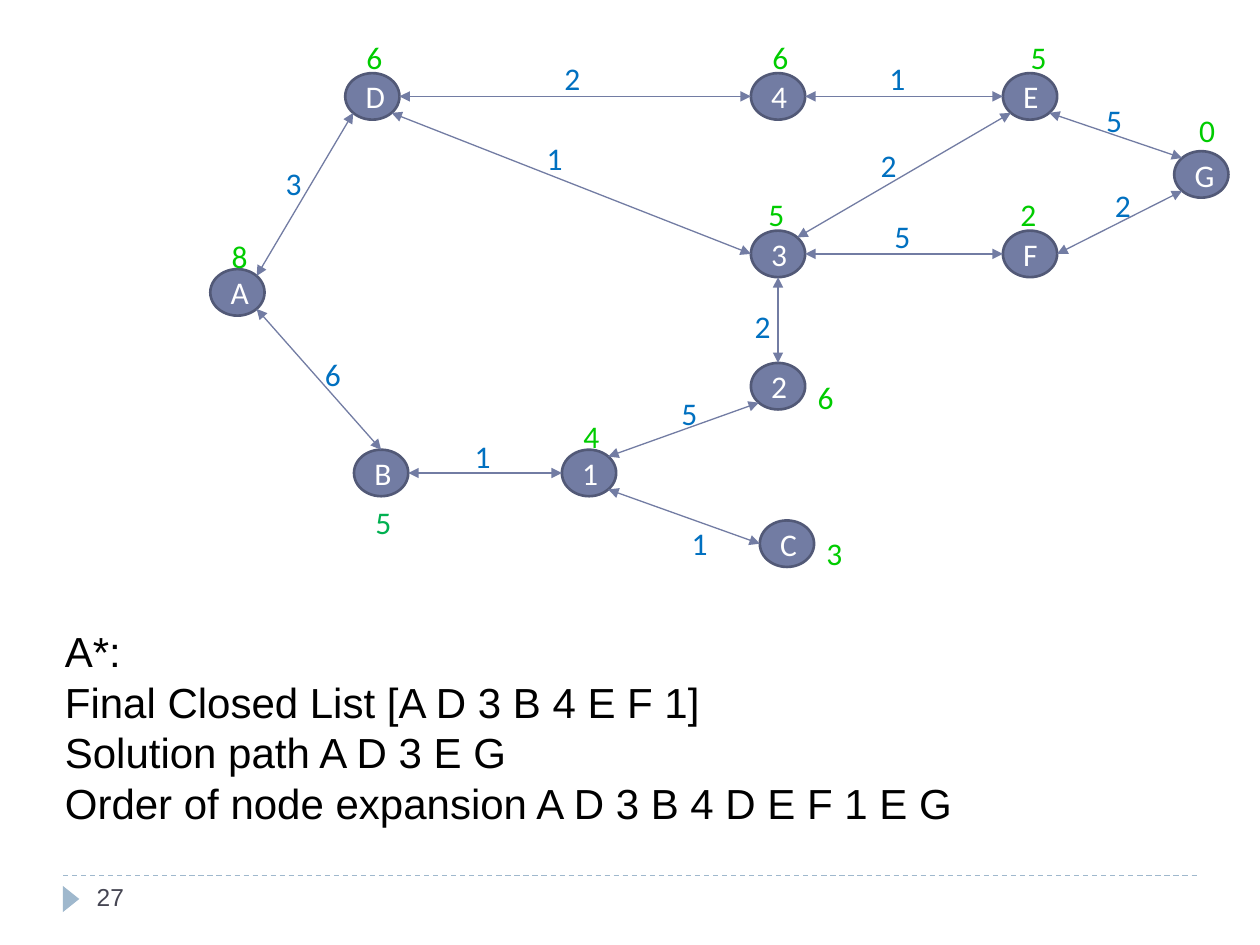
import pptx
import pptx.util
import pptx.dml.color
import pptx.enum.dml
import pptx.enum.shapes
import pptx.enum.text
from lxml import etree
from pptx.oxml.ns import qn

Pt = pptx.util.Pt
SHAPES = pptx.enum.shapes.MSO_SHAPE
NODE_W, NODE_H = 31, 26.6
LABEL_W, LABEL_H = 26, 29
GREEN, BLUE = "00CC00", "0070C0"

# name: node left, top, heuristic, its left, top, colour
NODES = {
    "G": (671, 86.4, "0", 678.2, 59.8, GREEN),
    "A": (120.2, 153.8, "8", 125.3, 131.8, GREEN),
    "D": (197.3, 41.8, "6", 202.3, 18, GREEN),
    "B": (202.3, 257, "5", 207.4, 283.7, "00B050"),
    "4": (429.1, 41.8, "6", 434.2, 18, GREEN),
    "F": (573.1, 131.8, "2", 576, 108, GREEN),
    "1": (321.1, 257, "4", 326.2, 234.7, GREEN),
    "C": (434.2, 297.4, "3", 465.1, 301.7, GREEN),
    "3": (429.1, 131.8, "5", 432, 108, GREEN),
    "2": (429.1, 207.4, "6", 460.1, 212.4, GREEN),
    "E": (573.1, 41.8, "5", 581.8, 18, GREEN),
}

# from node, side, to node, side, cost, its left, top
EDGES = [
    ("A", "ne", "D", "sw", "3", 156.2, 90),
    ("A", "se", "B", "n", "6", 178.6, 199.4),
    ("1", "w", "B", "e", "1", 264.2, 246.2),
    ("C", "w", "1", "se", "1", 388.1, 295.9),
    ("2", "sw", "1", "ne", "5", 382.3, 221.8),
    ("3", "s", "2", "n", "2", 424.1, 172.1),
    ("4", "w", "D", "e", "2", 315.4, 30.2),
    ("3", "w", "D", "se", "1", 305.3, 75.6),
    ("E", "sw", "3", "ne", "2", 496.1, 79.9),
    ("E", "w", "4", "e", "1", 501.1, 30.2),
    ("G", "nw", "E", "se", "5", 625, 54),
    ("G", "sw", "F", "e", "2", 630, 103),
    ("F", "w", "3", "e", "5", 504, 120.2),
]

RESULT = [
    "A*:",
    "Final Closed List [A D 3 B 4 E F 1]",
    "Solution path A D 3 E G",
    "Order of node expansion A D 3 B 4 D E F 1 E G",
]


def rgb(value):
    return pptx.dml.color.RGBColor.from_string(value)


def rim_point(name, side):
    """Point on a node's ellipse in a compass direction."""
    x, y = NODES[name][:2]
    reach = 0.5 if len(side) == 1 else 0.5 * 0.5 ** 0.5
    dx = ("e" in side) - ("w" in side)
    dy = ("s" in side) - ("n" in side)
    return x + NODE_W * (0.5 + reach * dx), y + NODE_H * (0.5 + reach * dy)


class Slide:
    """Current slide and the style of its elements."""
    fill, outline, accent = "727CA3", "525977", "9FB8CD"

    def __init__(self, prs):
        self.s = prs.slides.add_slide(prs.slide_layouts[6])

    def set_text(self, tf, lines, size, color, font, align=None):
        tf.word_wrap = True
        for i, line in enumerate(lines):
            p = tf.paragraphs[0] if i == 0 else tf.add_paragraph()
            p.text = line
            p.alignment = align
            p.font.size = Pt(size)
            p.font.name = font
            p.font.color.rgb = rgb(color)

    def text(self, lines, x, y, w, h, size, color, font="Arial"):
        sp = self.s.shapes.add_textbox(Pt(x), Pt(y), Pt(w), Pt(h))
        self.set_text(sp.text_frame, lines, size, color, font)

    def label(self, value, x, y, color):
        self.text([value], x, y, LABEL_W, LABEL_H, 18, color, "Calibri")

    def shape(self, kind, x, y, w, h, fill):
        sp = self.s.shapes.add_shape(kind, Pt(x), Pt(y), Pt(w), Pt(h))
        sp.shadow.inherit = False
        sp.fill.solid()
        sp.fill.fore_color.rgb = rgb(fill)
        sp.line.fill.background()
        return sp

    def node(self, name, x, y):
        sp = self.shape(SHAPES.OVAL, x, y, NODE_W, NODE_H, self.fill)
        sp.line.color.rgb = rgb(self.outline)
        sp.line.width = Pt(1.5)
        tf = sp.text_frame
        tf.vertical_anchor = pptx.enum.text.MSO_ANCHOR.MIDDLE
        self.set_text(tf, [name], 18, "FFFFFF", "Calibri",
                      pptx.enum.text.PP_ALIGN.CENTER)

    def line(self, start, end, color):
        c = self.s.shapes.add_connector(
            pptx.enum.shapes.MSO_CONNECTOR.STRAIGHT,
            *(Pt(v) for v in (*start, *end)))
        c.line.color.rgb = rgb(color)
        c.line.width = Pt(0.75)
        etree.SubElement(c._element.spPr, qn("a:effectLst"))
        return c

    def edge(self, start, end):
        c = self.line(start, end, self.fill)
        ln = c._element.spPr.find(qn("a:ln"))
        for tag in ("a:headEnd", "a:tailEnd"):
            etree.SubElement(ln, qn(tag), type="triangle")

    def footer(self, number):
        rule = self.line((36, 500.4), (684, 500.4), self.accent)
        rule.line.dash_style = pptx.enum.dml.MSO_LINE.DASH
        marker = self.shape(SHAPES.ISOSCELES_TRIANGLE, 33.1, 509, 15, 9.4, self.accent)
        marker.rotation = 90
        self.text([number], 48.2, 500.4, 156, 29, 14, "464653")


def main():
    prs = pptx.Presentation()
    prs.slide_width, prs.slide_height = Pt(720), Pt(540)
    slide = Slide(prs)
    slide.footer("27")
    for name, (x, y, *_) in NODES.items():
        slide.node(name, x, y)
    for a, a_side, b, b_side, *_ in EDGES:
        slide.edge(rim_point(a, a_side), rim_point(b, b_side))
    for _, _, value, x, y, color in NODES.values():
        slide.label(value, x, y, color)
    for *_, cost, x, y in EDGES:
        slide.label(cost, x, y, BLUE)
    slide.text(RESULT, 30, 354.2, 588, 122.4, 24, "000000")
    prs.save("out.pptx")


if __name__ == "__main__":
    main()
